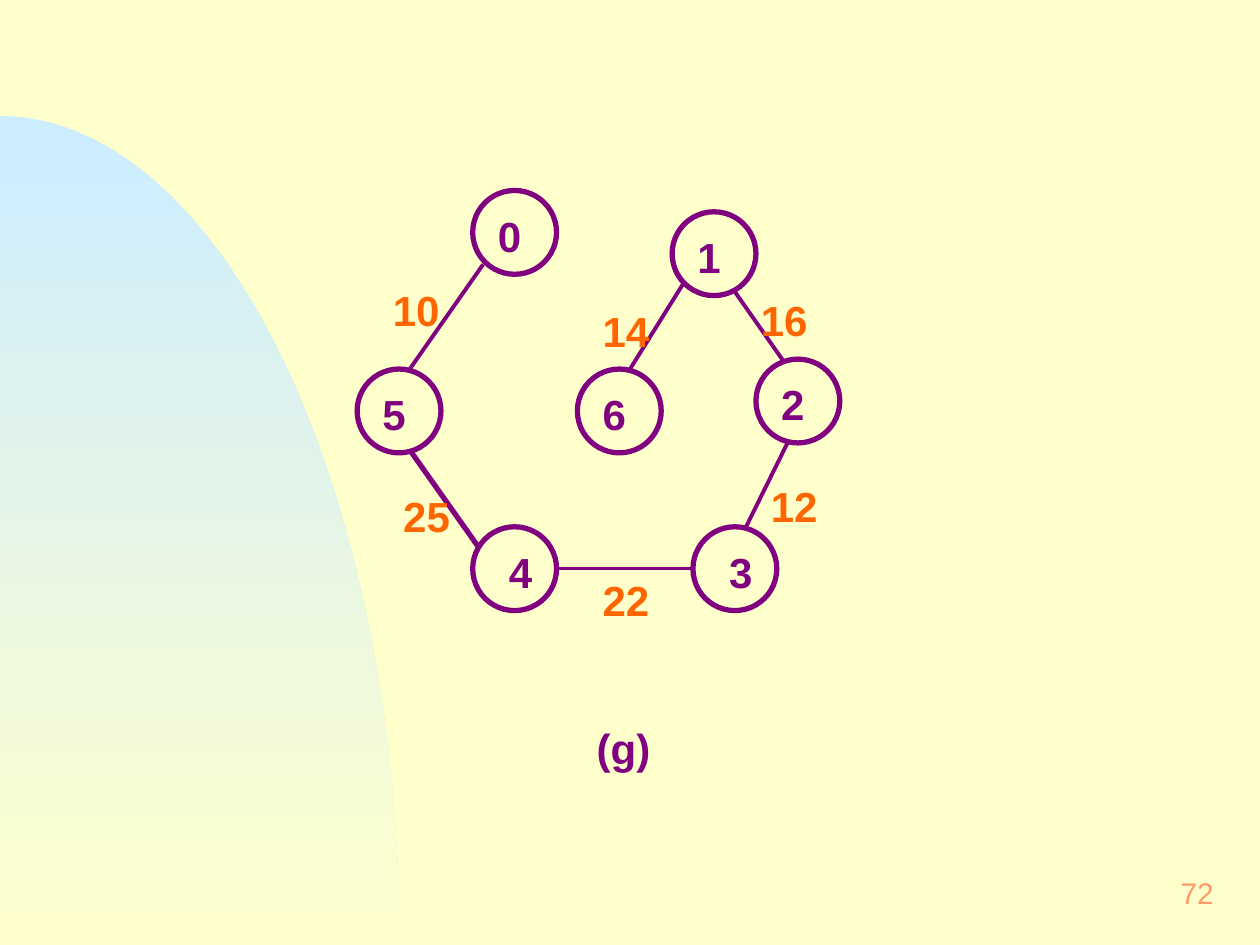
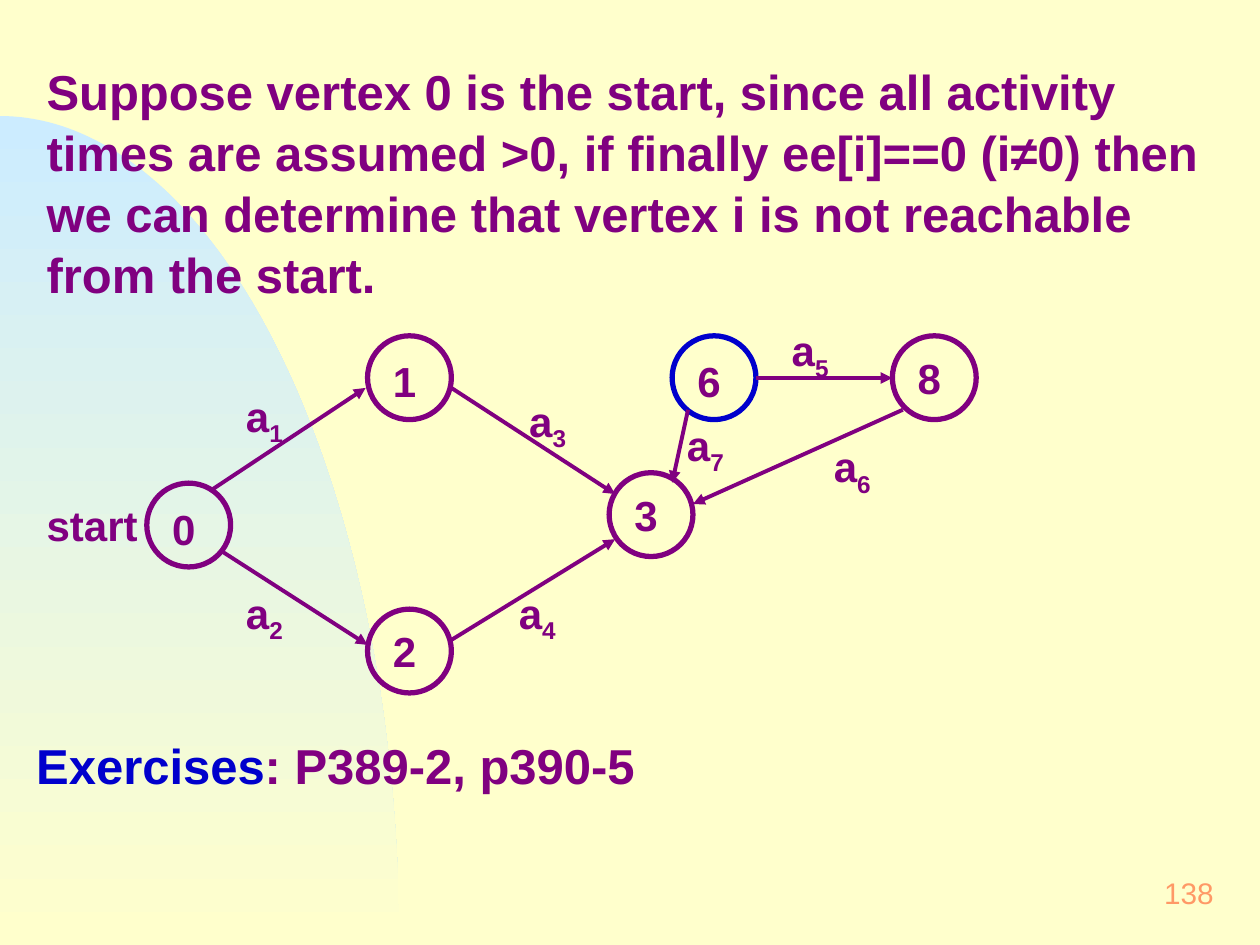
import math

from lxml import etree
from pptx import Presentation
from pptx import util as u
from pptx.dml.color import RGBColor
from pptx.enum import shapes, text
from pptx.oxml.ns import qn

FONT = "Arial"
PURPLE, BLUE, ORANGE = "800080", "0000CC", "FF6600"
CREAM, SKY, PEACH = "FFFFCC", "CCECFF", "FF9966"
WIDE, HIGH = 25.4, 19.05
NODE = 1.69      # circle diameter, cm
INSET = 0.21     # digit offset inside a circle, cm

# Spanning tree: vertex, left, top, digit offset
TREE_NODES = [
    ("0", 9.53, 3.84, INSET), ("1", 13.55, 4.27, INSET),
    ("2", 15.24, 7.24, INSET), ("3", 13.97, 10.62, 0.43),
    ("4", 9.53, 10.62, 0.43), ("5", 7.2, 7.44, INSET),
    ("6", 11.64, 7.44, INSET),
]
# Cost, label place, start, end, line width
TREE_EDGES = [
    ("10", (7.62, 5.54), (9.74, 5.33), (8.26, 7.44), 2.25),
    ("14", (11.85, 5.97), (13.76, 5.74), (12.7, 7.44), 2.25),
    ("16", (15.04, 5.74), (14.82, 5.89), (15.78, 7.26), 2.25),
    ("12", (15.24, 9.5), (15.88, 8.92), (15.04, 10.62), 2.25),
    ("22", (11.85, 11.4), (13.97, 11.46), (11.22, 11.46), 2.25),
    ("25", (7.83, 9.7), (8.26, 9.07), (9.64, 11.02), 3),
]
# Activity network: vertex, left, top, digit drop, colour
NET_NODES = [
    ("0", 2.96, 9.74, 0.22, PURPLE), ("1", 7.41, 6.77, INSET, PURPLE),
    ("2", 7.41, 12.28, 0.15, PURPLE), ("3", 12.28, 9.53, 0.15, PURPLE),
    ("6", 13.55, 6.77, INSET, BLUE), ("8", 17.99, 6.77, 0.15, PURPLE),
]
# Activity, label place, start, end
NET_EDGES = [
    ("1", (4.66, 7.67), (4.29, 9.86), (7.37, 7.82)),
    ("2", (4.66, 11.64), (4.45, 11.1), (7.41, 13)),
    ("3", (10.37, 7.77), (9.1, 7.82), (12.4, 9.96)),
    ("4", (10.16, 11.64), (9.1, 12.9), (12.4, 10.87)),
    ("5", (15.66, 6.35), (15.24, 7.62), (17.99, 7.62)),
    ("6", (16.51, 8.69), (18.2, 8.26), (13.97, 10.16)),
    ("7", (13.55, 8.26), (13.87, 8.26), (13.55, 9.73)),
]


def rgb(code):
    return RGBColor.from_string(code)


def add_text(slide, words, left, top, width=1.9, height=1.32,
             size=24, color=PURPLE, bold=True):
    """Add a text box and return its paragraph."""
    box = slide.shapes.add_textbox(*map(u.Cm, (left, top, width, height)))
    frame = box.text_frame
    frame.word_wrap = True
    frame.margin_left = frame.margin_right = u.Cm(0.3)
    frame.margin_top = frame.margin_bottom = u.Cm(0.15)
    para = frame.paragraphs[0]
    para.add_run().text = words
    para.line_spacing = 1.04
    font = para.font
    font.name, font.size, font.bold = FONT, u.Pt(size), bold
    font.color.rgb = rgb(color)
    return para


def add_node(slide, name, left, top, dx=INSET, dy=INSET, color=PURPLE):
    ring = slide.shapes.add_shape(
        shapes.MSO_SHAPE.OVAL, *map(u.Cm, (left, top, NODE, NODE)))
    ring.shadow.inherit = False
    ring.fill.background()
    ring.line.color.rgb = rgb(color)
    ring.line.width = u.Pt(3)
    add_text(slide, name, left + dx, top + dy, 1.27)


def add_edge(slide, start, end, width=2.25, arrow=False):
    edge = slide.shapes.add_connector(
        shapes.MSO_CONNECTOR.STRAIGHT, *map(u.Cm, start + end))
    edge.line.color.rgb = rgb(PURPLE)
    edge.line.width = u.Pt(width)
    props = edge.element.spPr
    if arrow:
        tip = etree.SubElement(props.find(qn("a:ln")), qn("a:tailEnd"))
        tip.set("type", "triangle")
    etree.SubElement(props, qn("a:effectLst"))


def add_page(slide, number):
    para = add_text(slide, number, 19.48, 17.35, 5.29, 1.27,
                    size=17, color=PEACH, bold=False)
    para.alignment = text.PP_ALIGN.RIGHT
    slide.shapes[-1].text_frame.vertical_anchor = text.MSO_ANCHOR.MIDDLE


def set_master(master, slide):
    """Give the master its background and the quarter ellipse."""
    back = master.background.fill
    back.solid()
    back.fore_color.rgb = rgb(CREAM)

    across, up = 8.05, 16.71
    angles = [math.radians(90 - step) for step in range(91)]
    rim = [(u.Cm(across * math.cos(a)), u.Cm(HIGH - up * math.sin(a)))
           for a in angles]
    pen = slide.shapes.build_freeform(*rim[0])
    pen.add_line_segments(rim[1:] + [(0, u.Cm(HIGH))], close=True)
    curve = pen.convert_to_shape()
    curve.shadow.inherit = False
    curve.line.fill.background()
    curve.fill.gradient()
    curve.fill.gradient_angle = 270
    for stop, color in zip(curve.fill.gradient_stops, (SKY, CREAM)):
        stop.color.rgb = rgb(color)
    master.shapes.element.append(curve.element)


def draw_tree(slide):
    for name, left, top, dx in TREE_NODES:
        add_node(slide, name, left, top, dx)
    for cost, place, start, end, width in TREE_EDGES:
        add_edge(slide, start, end, width)
        add_text(slide, cost, *place, color=ORANGE)
    add_text(slide, "(g)", 11.73, 14.38)
    add_page(slide, "72")


def draw_net(slide):
    add_text(slide, "Suppose vertex 0 is the start, since all activity times "
             "are assumed >0, if finally ee[i]==0 (i≠0) then we can determine "
             "that vertex i is not reachable from the start.",
             0.64, 1.04, 24.33, 5.05, size=28)
    for name, left, top, dy, color in NET_NODES:
        add_node(slide, name, left, top, dy=dy, color=color)
    for index, place, start, end in NET_EDGES:
        add_edge(slide, start, end, arrow=True)
        sub = add_text(slide, "a", *place).add_run()
        sub.text = index
        sub._r.get_or_add_rPr().set("baseline", "-25000")
    add_text(slide, "start", 0.64, 9.88, 2.97)

    # Exercise line
    para = add_text(slide, "Exercises", 0.43, 14.63, 24.33, 1.5, size=28)
    para.runs[0].font.color.rgb = rgb(BLUE)
    para.add_run().text = ": P389-2, p390-5"
    add_page(slide, "138")


def main():
    prs = Presentation()
    prs.slide_width, prs.slide_height = u.Cm(WIDE), u.Cm(HIGH)
    blank = prs.slide_layouts[6]
    tree, net = (prs.slides.add_slide(blank) for _ in range(2))
    set_master(prs.slide_master, tree)
    draw_tree(tree)
    draw_net(net)
    prs.save("out.pptx")


if __name__ == "__main__":
    main()
